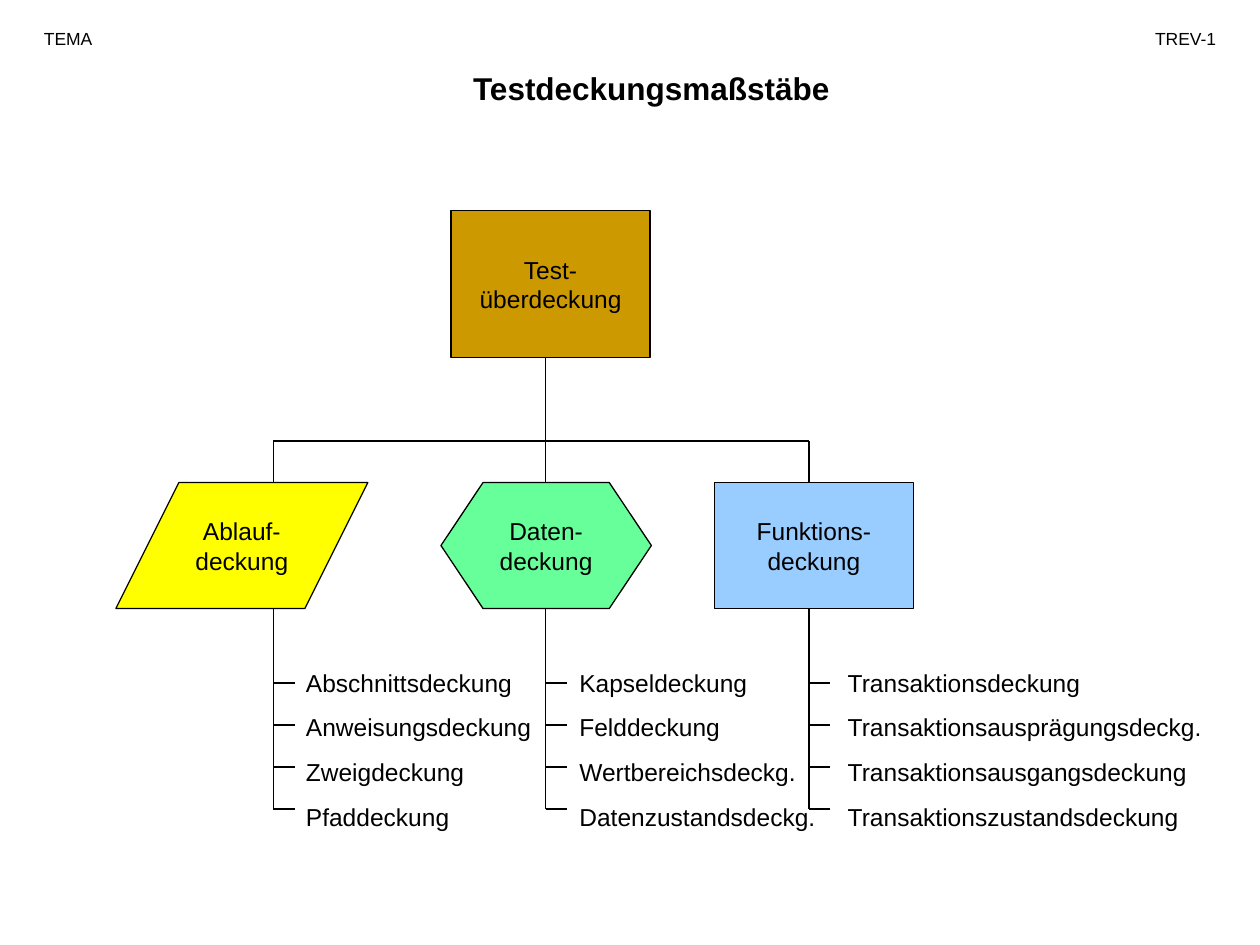
from dataclasses import dataclass

from lxml import etree
from pptx import Presentation
from pptx.dml.color import RGBColor
from pptx.enum.shapes import MSO_CONNECTOR, MSO_SHAPE
from pptx.enum.text import MSO_ANCHOR, MSO_AUTO_SIZE, PP_ALIGN
from pptx.oxml.ns import qn
from pptx.util import Inches, Pt

LEFT, CENTER, RIGHT = PP_ALIGN.LEFT, PP_ALIGN.CENTER, PP_ALIGN.RIGHT
TOP, MIDDLE = MSO_ANCHOR.TOP, MSO_ANCHOR.MIDDLE
NO_FIT, GROW = MSO_AUTO_SIZE.NONE, MSO_AUTO_SIZE.SHAPE_TO_FIT_TEXT
RECTANGLE = MSO_SHAPE.RECTANGLE
PARALLELOGRAM = MSO_SHAPE.PARALLELOGRAM
PREPARATION = MSO_SHAPE.FLOWCHART_PREPARATION
STRAIGHT = MSO_CONNECTOR.STRAIGHT


@dataclass(frozen=True)
class Theme:
    font: str = "Arial"
    ink: str = "000000"
    root: str = "CC9900"
    flow: str = "FFFF00"
    data: str = "66FF99"
    function: str = "99CCFF"
    title_size: float = 18
    header_size: float = 10
    body_size: float = 14
    line_width: float = 0.74


THEME = Theme()

TRUNK_X = 4.33
ROOT_BOTTOM = 2.83
BUS_Y = 3.5
BRANCH_TOP = 3.83
BRANCH_BOTTOM = 4.83
FIRST_TICK_Y = 5.42
TICK_LENGTH = 0.17
TICK_GAP = 1 / 3
LIST_TOP = 5.25

ROOT = (RECTANGLE, (3.58, 1.67, 1.58, 1.17), THEME.root, ["Test-", "überdeckung"])

BRANCHES = [
    {
        "node": (PARALLELOGRAM, (0.92, BRANCH_TOP, 2, 1), THEME.flow,
                 ["Ablauf-", "deckung"]),
        "stem_x": 2.17, "list_left": 2.33, "list_width": 2.17,
        "measures": ["Abschnittsdeckung", "Anweisungsdeckung",
                     "Zweigdeckung", "Pfaddeckung"],
    },
    {
        "node": (PREPARATION, (3.5, BRANCH_TOP, 1.67, 1), THEME.data,
                 ["Daten-", "deckung"]),
        "stem_x": TRUNK_X, "list_left": 4.5, "list_width": 2.17,
        "measures": ["Kapseldeckung", "Felddeckung",
                     "Wertbereichsdeckg.", "Datenzustandsdeckg."],
    },
    {
        "node": (RECTANGLE, (5.67, BRANCH_TOP, 1.58, 1), THEME.function,
                 ["Funktions-", "deckung"]),
        "stem_x": 6.42, "list_left": 6.63, "list_width": 3.2,
        "measures": ["Transaktionsdeckung", "Transaktionsausprägungsdeckg.",
                     "Transaktionsausgangsdeckung", "Transaktionszustandsdeckung"],
    },
]


def apply_format(target, values):
    """Set each named attribute of the target."""
    for name, value in values.items():
        setattr(target, name, value)


def write_lines(frame, lines, size, align, frame_format, bold=False, before=0):
    """Fill a text frame with one paragraph per line."""
    apply_format(frame, frame_format)
    for index, line in enumerate(lines):
        paragraph = frame.add_paragraph() if index else frame.paragraphs[0]
        apply_format(paragraph, {"alignment": align, "space_before": Pt(before)})
        run = paragraph.add_run()
        run.text = line
        apply_format(run.font, {"name": THEME.font, "size": Pt(size), "bold": bold})
        run.font.color.rgb = RGBColor.from_string(THEME.ink)


def style_line(line):
    """Give a line or outline the diagram's stroke."""
    line.color.rgb = RGBColor.from_string(THEME.ink)
    line.width = Pt(THEME.line_width)


def add_text(slide, box, lines, size, align, before, bold=False):
    """Add a wrapping text box."""
    label = slide.shapes.add_textbox(*map(Inches, box))
    frame_format = {"word_wrap": True, "auto_size": GROW, "vertical_anchor": TOP}
    write_lines(label.text_frame, lines, size, align, frame_format, bold, before)


def add_node(slide, outline, box, fill, lines):
    """Add a filled diagram node with centred text."""
    node = slide.shapes.add_shape(outline, *map(Inches, box))
    node.shadow.inherit = False
    if outline == PARALLELOGRAM:
        node.adjustments[0] = 0.5
    node.fill.solid()
    node.fill.fore_color.rgb = RGBColor.from_string(fill)
    style_line(node.line)
    frame_format = {"word_wrap": False, "auto_size": NO_FIT, "vertical_anchor": MIDDLE}
    write_lines(node.text_frame, lines, THEME.body_size, CENTER, frame_format)


def add_link(slide, start, end):
    """Add a straight line without a shadow."""
    link = slide.shapes.add_connector(STRAIGHT, *map(Inches, (*start, *end)))
    style_line(link.line)
    etree.SubElement(link._element.spPr, qn("a:effectLst"))


def add_branch(slide, node, stem_x, list_left, list_width, measures):
    """Add a branch node with its stem, ticks and list of measures."""
    add_node(slide, *node)
    ticks = [FIRST_TICK_Y + index * TICK_GAP for index in range(len(measures))]
    add_link(slide, (stem_x, BRANCH_BOTTOM), (stem_x, ticks[-1]))
    for tick_y in ticks:
        add_link(slide, (stem_x, tick_y), (stem_x + TICK_LENGTH, tick_y))
    add_text(slide, (list_left, LIST_TOP, list_width, 1.64), measures,
             THEME.body_size, LEFT, 8.8)


def add_tree(slide):
    """Add the root node, its branches and the lines between them."""
    add_node(slide, *ROOT)
    for branch in BRANCHES:
        add_branch(slide, **branch)
    first_x, last_x = BRANCHES[0]["stem_x"], BRANCHES[-1]["stem_x"]
    add_link(slide, (TRUNK_X, ROOT_BOTTOM), (TRUNK_X, BRANCH_TOP))
    add_link(slide, (first_x, BUS_Y), (last_x, BUS_Y))
    for stem_x in (first_x, last_x):
        add_link(slide, (stem_x, BUS_Y), (stem_x, BRANCH_TOP))


def main():
    """Build the slide and save it."""
    deck = Presentation()
    apply_format(deck, {"slide_width": Inches(10), "slide_height": Inches(7.5)})
    slide = deck.slides.add_slide(deck.slide_layouts[6])
    add_text(slide, (2.17, 0.5, 6, 0.4), ["Testdeckungsmaßstäbe"],
             THEME.title_size, CENTER, 11.2, bold=True)
    add_text(slide, (0.25, 0.17, 0.92, 0.27), ["TEMA"], THEME.header_size, LEFT, 6.2)
    add_text(slide, (8.75, 0.17, 1, 0.27), ["TREV-1"], THEME.header_size, RIGHT, 6.2)
    add_tree(slide)
    deck.save("out.pptx")


main()
